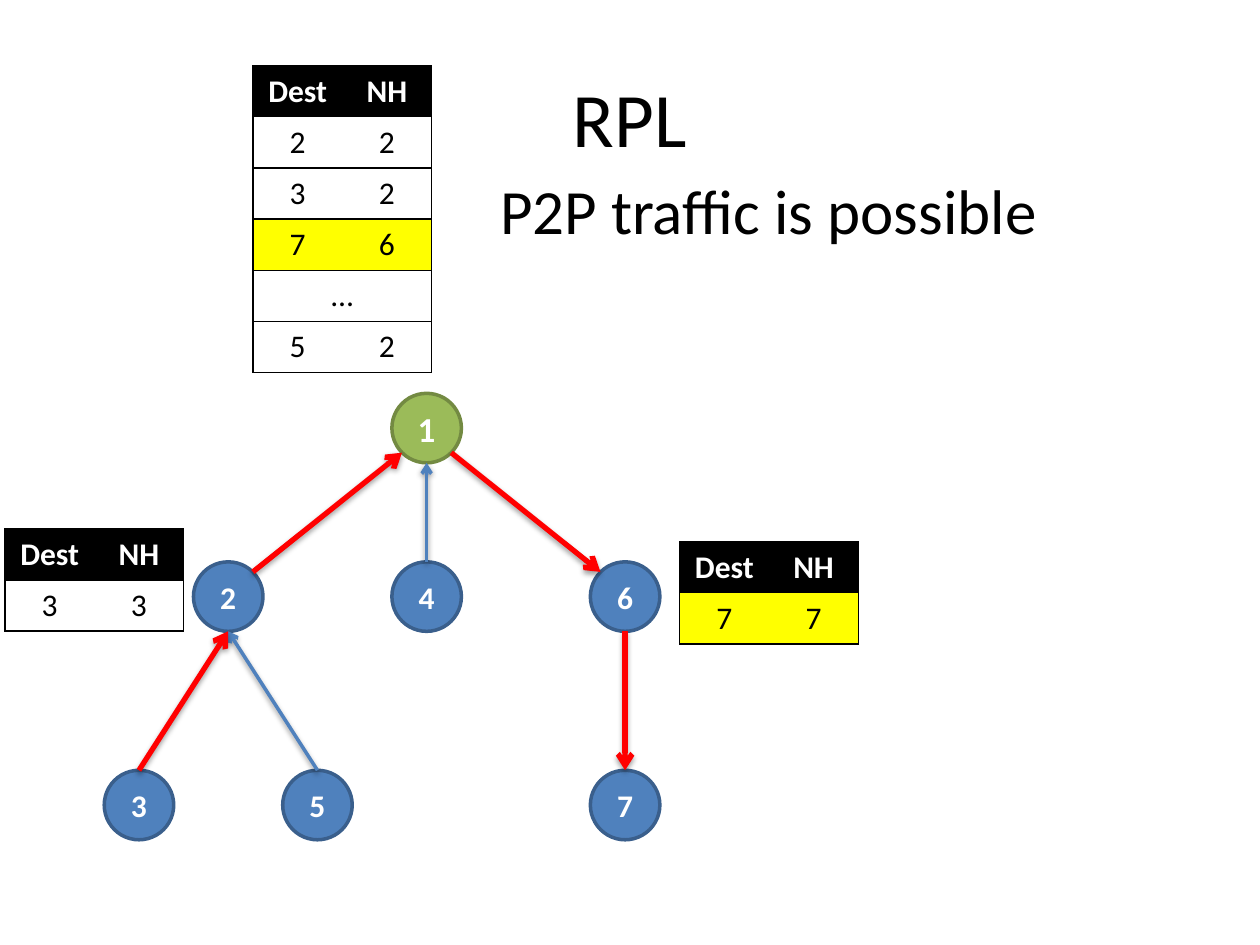
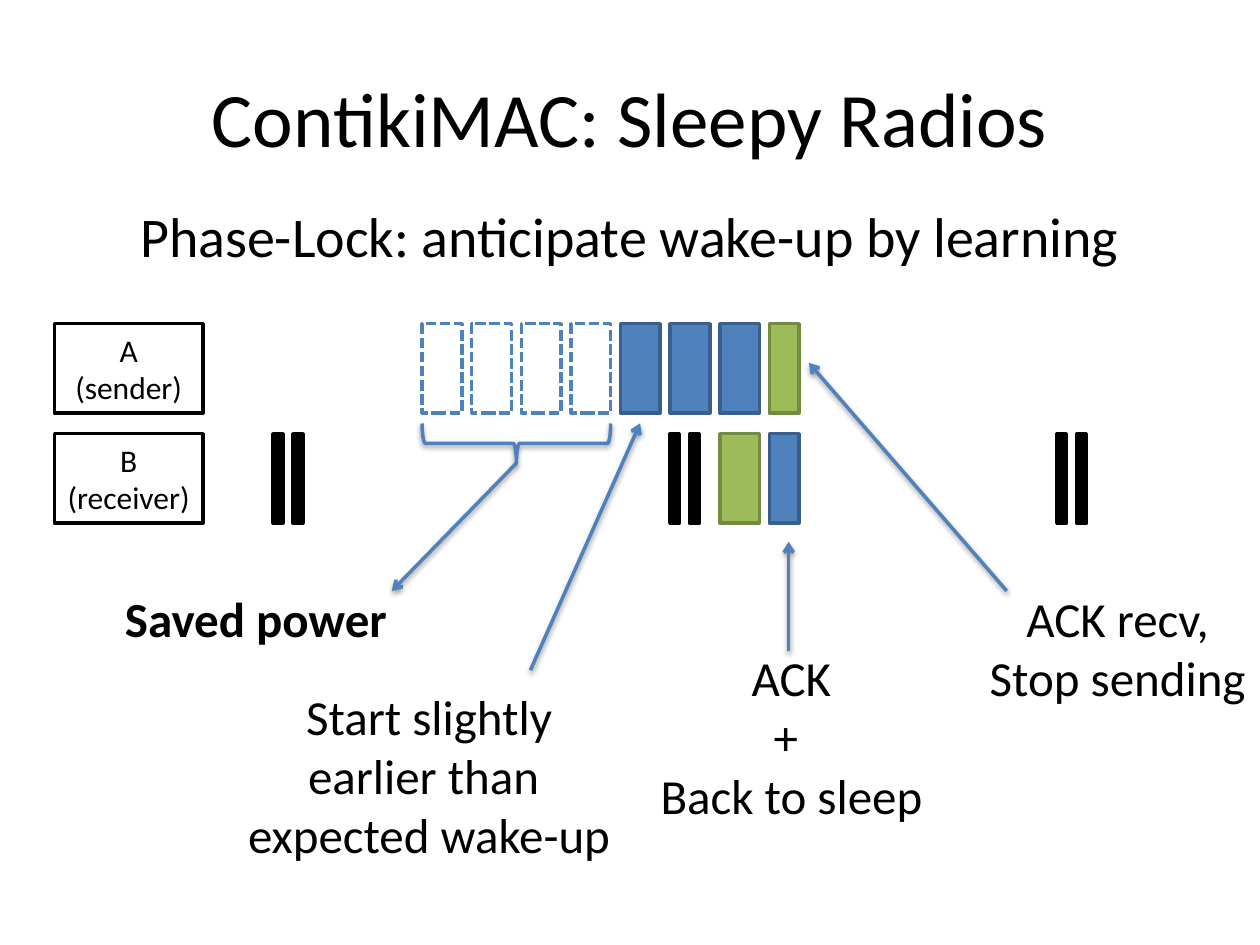
from lxml import etree
from pptx import Presentation
from pptx.dml.color import RGBColor
from pptx.enum.dml import MSO_LINE
from pptx.enum.shapes import MSO_CONNECTOR, MSO_SHAPE
from pptx.enum.text import MSO_ANCHOR, MSO_AUTO_SIZE, PP_ALIGN
from pptx.oxml.ns import qn
from pptx.util import Pt

CENTER, RIGHT = PP_ALIGN.CENTER, PP_ALIGN.RIGHT
MIDDLE = MSO_ANCHOR.MIDDLE
FIT_SHAPE = MSO_AUTO_SIZE.SHAPE_TO_FIT_TEXT
STRAIGHT = MSO_CONNECTOR.STRAIGHT
OVAL, RECTANGLE, BRACE = MSO_SHAPE.OVAL, MSO_SHAPE.RECTANGLE, MSO_SHAPE.RIGHT_BRACE
DASHED = MSO_LINE.SQUARE_DOT

FONT = "Calibri"
BLACK, WHITE, RED, YELLOW = "000000", "FFFFFF", "FF0000", "FFFF00"
BLUE, GREEN = "4F81BD", "9BBB59"
EDGES = {BLUE: "3A5F8C", GREEN: "738A42", BLACK: BLACK, WHITE: BLACK}

TITLE_AREA = (36, 21.6, 648, 90)

NODE_SIZE = 39.7
NODE_COLUMNS = [130.4 + 113.4 * i for i in range(3)]
NODE_ROWS = (244.6, 340.9, 460)
NODES = {
    "1": (NODE_COLUMNS[1], NODE_ROWS[0]),
    "2": (NODE_COLUMNS[0], NODE_ROWS[1]),
    "4": (NODE_COLUMNS[1], NODE_ROWS[1]),
    "6": (NODE_COLUMNS[2], NODE_ROWS[1]),
    "3": (NODE_COLUMNS[0] - 51, NODE_ROWS[2]),
    "5": (NODE_COLUMNS[0] + 51, NODE_ROWS[2]),
    "7": (NODE_COLUMNS[2], NODE_ROWS[2]),
}
TOP, BOTTOM = (0, -1), (0, 1)
TOP_LEFT, TOP_RIGHT = (-0.71, -0.71), (0.71, -0.71)
BOTTOM_LEFT, BOTTOM_RIGHT = (-0.71, 0.71), (0.71, 0.71)
LINKS = [
    ("5", TOP, "2", BOTTOM, BLUE, 2),
    ("4", TOP, "1", BOTTOM, BLUE, 2),
    ("2", TOP_RIGHT, "1", BOTTOM_LEFT, RED, 3),
    ("3", TOP, "2", BOTTOM, RED, 3),
    ("1", BOTTOM_RIGHT, "6", TOP_LEFT, RED, 3),
    ("6", BOTTOM, "7", TOP, RED, 3),
]

CELL_WIDTH, CELL_HEIGHT = 51, 29.2
ROUTE_HEADER = ("Dest", "NH")
ROUTES = [
    (2.9, 302.2, [("3", "3")]),
    (144.6, 37.6, [("2", "2"), ("3", "2"), ("7", "6"), ("…",), ("5", "2")]),
    (388.4, 309.6, [("7", "7")]),
]
HIGHLIGHTED_DESTINATION = "7"

SENDER_TOP, RECEIVER_TOP, BAR_HEIGHT = 185, 247.8, 51
SLOT_LEFT, SLOT_STEP, SLOT_WIDTH, SHORT_WIDTH = 241.2, 28.35, 22.7, 17
SKIPPED_SLOTS = 4
RADIOS = [(SENDER_TOP, ["A", "(sender)"]), (RECEIVER_TOP, ["B", "(receiver)"])]
PACKETS = [(slot, SENDER_TOP, SLOT_WIDTH, BLUE) for slot in (4, 5, 6)] + [
    (6, RECEIVER_TOP, SLOT_WIDTH, GREEN),
    (7, RECEIVER_TOP, SHORT_WIDTH, BLUE),
    (7, SENDER_TOP, SHORT_WIDTH, GREEN),
]
WAKE_UPS = (156, 382.7, 603.8)
PULSE_STEP, PULSE_WIDTH = 11.34, 5.7
BRACE_TOP, BRACE_DEPTH = 242, 22.7
BRACE_SPAN = (SKIPPED_SLOTS - 1) * SLOT_STEP + SLOT_WIDTH
BRACE_TIP = (SLOT_LEFT + BRACE_SPAN / 2, BRACE_TOP + BRACE_DEPTH)
NOTES = [
    (369.4, 366.5, 165.6, 108.7, ["ACK", "+ ", "Back to sleep"], False),
    (557.3, 332.6, 162.7, 74.9, ["ACK recv,", "Stop sending"], False),
    (133.2, 388.8, 223.9, 108.7,
     ["Start slightly", "earlier than ", "expected wake-up"], False),
    (63.4, 332.6, 165.6, 41, ["Saved power"], True),
]
POINTERS = [
    ((450.7, 372.2), (450.7, 309.6)),
    ((575.3, 337.7), (462.2, 207.4)),
    ((303.1, 383), (365.8, 241.9)),
    (BRACE_TIP, (223.9, 337.7)),
]


def color(value):
    return RGBColor.from_string(value)


def points(*values):
    return [Pt(value) for value in values]


def write(frame, lines, size, ink=BLACK, bold=False, align=CENTER):
    for index, line in enumerate(lines):
        para = frame.paragraphs[0] if index == 0 else frame.add_paragraph()
        para.alignment = align
        span = para.add_run()
        span.text = line
        span.font.name = FONT
        span.font.size = Pt(size)
        span.font.bold = bold
        span.font.color.rgb = color(ink)


def fill_placeholder(holder, area, line, size, align=CENTER):
    holder.left, holder.top, holder.width, holder.height = points(*area)
    write(holder.text_frame, [line], size, align=align)


def add_page(deck, title, subtitle, subtitle_area, subtitle_size, align):
    page = deck.slides.add_slide(deck.slide_layouts[1])
    fill_placeholder(page.shapes.title, TITLE_AREA, title, 44)
    body = page.placeholders[1]
    properties = body.text_frame.paragraphs[0]._p.get_or_add_pPr()
    etree.SubElement(properties, qn("a:buNone"))
    fill_placeholder(body, subtitle_area, subtitle, subtitle_size, align)
    return page


def add_box(page, kind, area, fill, edge=None):
    box = page.shapes.add_shape(kind, *points(*area))
    box.shadow.inherit = False
    box.fill.solid()
    box.fill.fore_color.rgb = color(fill)
    box.line.color.rgb = color(edge or EDGES[fill])
    box.line.width = Pt(2)
    return box


def label_box(box, lines, size, ink, bold=False):
    frame = box.text_frame
    frame.margin_left = frame.margin_right = 0
    frame.margin_top = frame.margin_bottom = 0
    frame.vertical_anchor = MIDDLE
    write(frame, lines, size, ink, bold)


def add_soft_shadow(item):
    effects = etree.SubElement(item._element.spPr, qn("a:effectLst"))
    shadow = etree.SubElement(effects, qn("a:outerShdw"), blurRad="40000",
                              dist="20000", dir="5400000", rotWithShape="0")
    ink = etree.SubElement(shadow, qn("a:srgbClr"), val=BLACK)
    etree.SubElement(ink, qn("a:alpha"), val="38000")


def add_arrow(page, start, end, ink=BLUE, width=2):
    arrow = page.shapes.add_connector(STRAIGHT, *points(*start, *end))
    arrow.line.color.rgb = color(ink)
    arrow.line.width = Pt(width)
    outline = arrow._element.spPr.find(qn("a:ln"))
    etree.SubElement(outline, qn("a:tailEnd"), type="arrow")
    add_soft_shadow(arrow)
    return arrow


def set_borders(cell, open_side):
    properties = cell._tc.get_or_add_tcPr()
    for side in ("lnL", "lnR", "lnT", "lnB"):
        border = etree.SubElement(properties, qn("a:" + side), w="9525")
        if side == open_side:
            etree.SubElement(border, qn("a:noFill"))
        else:
            paint = etree.SubElement(border, qn("a:solidFill"))
            etree.SubElement(paint, qn("a:srgbClr"), val=BLACK)


def add_routes(page, left, top, routes):
    rows = [ROUTE_HEADER] + routes
    area = points(left, top, 2 * CELL_WIDTH, CELL_HEIGHT * len(rows))
    table = page.shapes.add_table(len(rows), 2, *area).table
    for column in table.columns:
        column.width = Pt(CELL_WIDTH)
    for index, values in enumerate(rows):
        table.rows[index].height = Pt(CELL_HEIGHT)
        header = index == 0
        fill = BLACK if header else WHITE
        if values[0] == HIGHLIGHTED_DESTINATION:
            fill = YELLOW
        merged = len(values) == 1
        if merged:
            table.cell(index, 0).merge(table.cell(index, 1))
        for column, open_side in enumerate(("lnR", "lnL")):
            cell = table.cell(index, column)
            set_borders(cell, None if merged else open_side)
            cell.fill.solid()
            cell.fill.fore_color.rgb = color(fill)
            if column < len(values):
                write(cell.text_frame, [values[column]], 18,
                      WHITE if header else BLACK, header)


def node_point(name, side):
    return [center + offset * NODE_SIZE / 2
            for center, offset in zip(NODES[name], side)]


def build_routing_page(deck):
    page = add_page(deck, "RPL", "P2P traffic is possible",
                    (252, 94.3, 347.8, 76.3), 36, RIGHT)
    circles = {}
    for name, (x, y) in NODES.items():
        root = name == "1"
        area = (x - NODE_SIZE / 2, y - NODE_SIZE / 2, NODE_SIZE, NODE_SIZE)
        circles[name] = add_box(page, OVAL, area, GREEN if root else BLUE)
        label_box(circles[name], [name], 20 if root else 18, WHITE, True)
    for source, source_side, target, target_side, ink, width in LINKS:
        arrow = add_arrow(page, node_point(source, source_side),
                          node_point(target, target_side), ink, width)
        if source_side == TOP:
            arrow.begin_connect(circles[source], 0)
        if target_side == TOP:
            arrow.end_connect(circles[target], 0)
    for left, top, routes in ROUTES:
        add_routes(page, left, top, routes)


def build_radio_page(deck):
    page = add_page(deck, "ContikiMAC: Sleepy Radios",
                    "Phase-Lock: anticipate wake-up by learning",
                    (36, 111.6, 648, 79.2), 32, CENTER)
    for top, lines in RADIOS:
        box = add_box(page, RECTANGLE, (31, top, 85, BAR_HEIGHT), WHITE)
        label_box(box, lines, 18, BLACK)
    for wake_up in WAKE_UPS:
        for left in (wake_up, wake_up + PULSE_STEP):
            area = (left, RECEIVER_TOP, PULSE_WIDTH, BAR_HEIGHT)
            add_box(page, RECTANGLE, area, BLACK)
    for slot in range(SKIPPED_SLOTS):
        area = (SLOT_LEFT + slot * SLOT_STEP, SENDER_TOP, SLOT_WIDTH, BAR_HEIGHT)
        add_box(page, RECTANGLE, area, WHITE, BLUE).line.dash_style = DASHED
    for slot, top, width, fill in PACKETS:
        area = (SLOT_LEFT + slot * SLOT_STEP, top, width, BAR_HEIGHT)
        add_box(page, RECTANGLE, area, fill)
    for left, top, width, height, lines, bold in NOTES:
        note = page.shapes.add_textbox(*points(left, top, width, height))
        note.text_frame.word_wrap = False
        note.text_frame.auto_size = FIT_SHAPE
        write(note.text_frame, lines, 28, bold=bold)
    brace = page.shapes.add_shape(BRACE, *points(
        BRACE_TIP[0] - BRACE_DEPTH / 2,
        BRACE_TOP + BRACE_DEPTH / 2 - BRACE_SPAN / 2, BRACE_DEPTH, BRACE_SPAN))
    brace.rotation = 90
    brace.fill.background()
    brace.line.color.rgb = color(BLUE)
    brace.line.width = Pt(2)
    add_soft_shadow(brace)
    for start, end in POINTERS:
        add_arrow(page, start, end)


def main():
    deck = Presentation()
    deck.slide_width, deck.slide_height = points(720, 540)
    build_routing_page(deck)
    build_radio_page(deck)
    deck.save("out.pptx")


if __name__ == "__main__":
    main()
